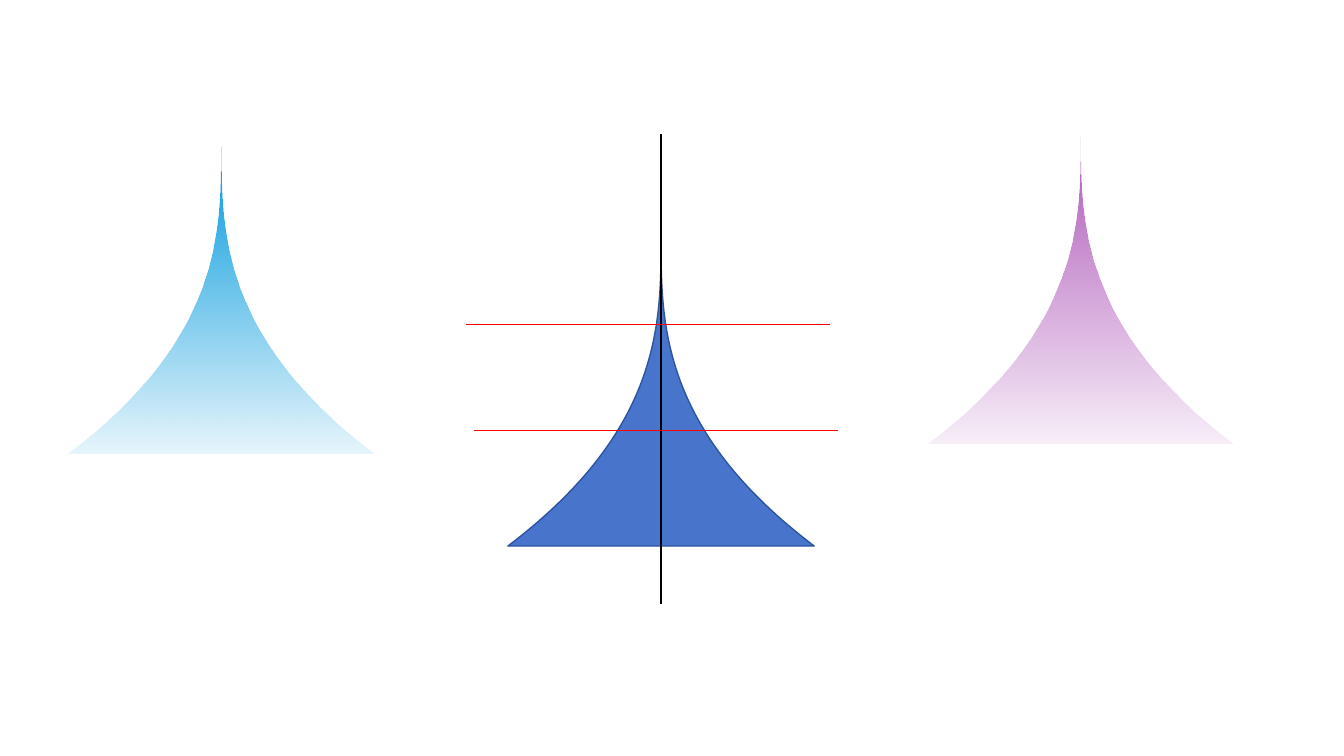
"""Draw three curved spires, the middle one with guide lines."""
from lxml import etree
from pptx import Presentation
from pptx.dml.color import RGBColor
from pptx.enum.shapes import MSO_CONNECTOR
from pptx.oxml.ns import qn
from pptx.util import Cm, Pt

STRAIGHT = MSO_CONNECTOR.STRAIGHT
COLORS = {
    "blue": "4874CB", "edge": "2E54A1", "sky": "009ADE",
    "plum": "AF58BA", "axis": "000000", "guide": "FF0000",
}
SIZE = 7.72
LOW, HIGH = 4.8, 2.11


def rgb(name):
    return RGBColor.from_string(COLORS[name])


def bend(seg, spots):
    seg.tag = qn("a:cubicBezTo")
    end = seg[0]
    for x, y in spots:
        point = etree.Element(qn("a:pt"), x=str(Cm(x)), y=str(Cm(y)))
        end.addprevious(point)


def fade(shape, color):
    shape.fill.gradient()
    shape.fill.gradient_angle = 90
    for stop in shape.fill.gradient_stops:
        stop.color.rgb = rgb(color)
    first = shape.element.spPr.find(".//" + qn("a:srgbClr"))
    etree.SubElement(first, qn("a:alpha")).set("val", "10000")


def spire(slide, left, top, color, edge=None):
    mid = SIZE / 2
    ring = [(0, SIZE), (mid, 0), (SIZE, SIZE), (0, SIZE)]
    spots = [(Cm(left + x), Cm(top + y)) for x, y in ring]
    pen = slide.shapes.build_freeform(*spots[0], scale=1.0)
    pen.add_line_segments(spots[1:], close=True)
    shape = pen.convert_to_shape()
    rise, fall = shape.element.spPr.findall(".//" + qn("a:lnTo"))[:2]
    bend(rise, [(mid, LOW), (mid, HIGH)])
    bend(fall, [(mid, HIGH), (mid, LOW)])
    shape.shadow.inherit = False
    if edge:
        shape.fill.solid()
        shape.fill.fore_color.rgb = rgb(color)
        shape.line.color.rgb = rgb(edge)
        shape.line.width = Pt(1)
    else:
        fade(shape, color)
        shape.line.fill.background()


def rule(slide, start, end, color):
    line = slide.shapes.add_connector(STRAIGHT, *map(Cm, start + end))
    line.line.color.rgb = rgb(color)
    line.line.width = Pt(1)
    etree.SubElement(line.element.spPr, qn("a:effectLst"))


def main():
    deck = Presentation()
    deck.slide_width, deck.slide_height = Cm(33.87), Cm(19.05)
    slide = deck.slides.add_slide(deck.slide_layouts[6])
    spire(slide, 12.8, 6.04, "blue", edge="edge")
    rule(slide, (16.66, 3.38), (16.66, 15.21), "axis")
    for left, top in ((11.94, 10.85), (11.74, 8.17)):
        rule(slide, (left, top), (left + 9.17, top), "guide")
    spire(slide, 1.71, 3.72, "sky")
    spire(slide, 23.37, 3.46, "plum")
    deck.save("out.pptx")


if __name__ == "__main__":
    main()
